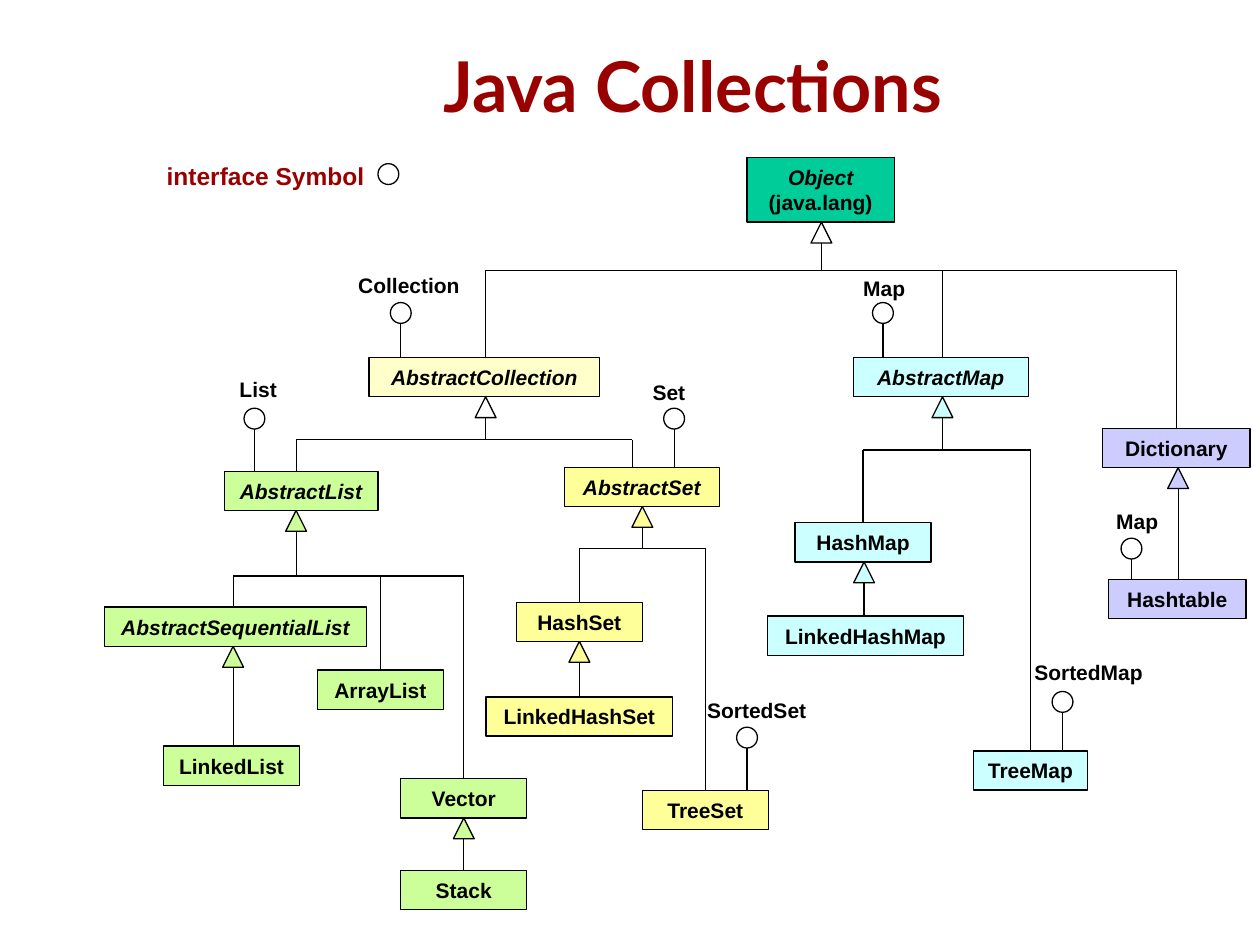
from collections import namedtuple

from lxml import etree
from pptx import Presentation, util as u
from pptx.dml.color import RGBColor
from pptx.enum import shapes, text
from pptx.oxml import ns

COLOURS = {
    "ink": "000000", "red": "990000", "white": "FFFFFF", "teal": "00CC99",
    "cream": "FFFFCC", "green": "CCFF99", "yellow": "FFFF99",
    "cyan": "CCFFFF", "violet": "CCCCFF",
}
BOX_HEIGHT = 0.79
MARK = 0.42  # size of the triangles and circles
LABEL_HEIGHT = 0.76

ClassBox = namedtuple("ClassBox", "left top width colour abstract")

CLASSES = {
    "AbstractCollection": ClassBox(7.44, 7.21, 4.65, "cream", True),
    "AbstractMap": ClassBox(17.2, 7.21, 3.53, "cyan", True),
    "Dictionary": ClassBox(22.23, 8.64, 2.97, "violet", False),
    "Hashtable": ClassBox(22.35, 11.68, 2.77, "violet", False),
    "AbstractList": ClassBox(4.52, 9.5, 3.1, "green", True),
    "AbstractSequentialList": ClassBox(2.11, 12.24, 5.28, "green", True),
    "ArrayList": ClassBox(6.4, 13.51, 2.54, "green", False),
    "LinkedList": ClassBox(3.3, 15.04, 2.74, "green", False),
    "Vector": ClassBox(8.08, 15.7, 2.54, "green", False),
    "Stack": ClassBox(8.08, 17.55, 2.54, "green", False),
    "AbstractSet": ClassBox(11.38, 9.42, 3.12, "yellow", True),
    "HashSet": ClassBox(10.41, 12.14, 2.54, "yellow", False),
    "LinkedHashSet": ClassBox(9.8, 14.05, 3.76, "yellow", False),
    "TreeSet": ClassBox(12.95, 15.93, 2.54, "yellow", False),
    "HashMap": ClassBox(16.03, 10.54, 2.74, "cyan", False),
    "LinkedHashMap": ClassBox(15.47, 12.42, 3.96, "cyan", False),
    "TreeMap": ClassBox(19.63, 15.14, 2.29, "cyan", False),
}

# parent, stem x, bar y, {child: branch x}
BRANCHES = [
    ("AbstractCollection", 9.79, 8.86,
     {"AbstractList": 5.97, "AbstractSet": 12.75}),
    ("AbstractList", 5.97, 11.61,
     {"AbstractSequentialList": 4.7, "ArrayList": 7.67, "Vector": 9.35}),
    ("AbstractSet", 12.95, 11.05, {"HashSet": 11.68, "TreeSet": 14.22}),
    ("AbstractMap", 19, 9.07, {"HashMap": 17.4, "TreeMap": 20.78}),
]

# parent, stem x, only child
CHAINS = [
    ("AbstractSequentialList", 4.7, "LinkedList"),
    ("Vector", 9.35, "Stack"),
    ("HashSet", 11.68, "LinkedHashSet"),
    ("HashMap", 17.42, "LinkedHashMap"),
    ("Dictionary", 23.75, "Hashtable"),
]

# interface, label left, top and width, circle centre x and top, class
INTERFACES = [
    ("Collection", 6.96, 5.36, 2.57, 8.08, 6.1, "AbstractCollection"),
    ("List", 4.57, 7.47, 1.27, 5.13, 8.23, "AbstractList"),
    ("Set", 12.9, 7.52, 1.17, 13.59, 8.23, "AbstractSet"),
    ("SortedSet", 14, 13.94, 2.51, 15.06, 14.66, "TreeSet"),
    ("Map", 17.15, 5.44, 1.35, 17.8, 6.1, "AbstractMap"),
    ("SortedMap", 20.6, 13.18, 2.69, 21.42, 13.94, "TreeMap"),
    ("Map", 22.25, 10.13, 1.35, 22.81, 10.85, "Hashtable"),
]


def rgb(name):
    return RGBColor.from_string(COLOURS[name])


class Diagram:
    font = "Arial"
    line_width = u.Pt(0.75)

    def __init__(self, page):
        self.page = page

    def set_text(self, frame, words, size=12, colour="ink", font=None,
                 align=text.PP_ALIGN.CENTER, spacing=None):
        frame.text = words
        for para in frame.paragraphs:
            para.alignment = align
            if spacing:
                para.line_spacing = spacing
            for span in para.runs:
                span.font.name = font or self.font
                span.font.size = u.Pt(size)
                span.font.bold = True
                span.font.color.rgb = rgb(colour)

    def label(self, words, left, top, width, height, wrap=False, **style):
        box = self.page.shapes.add_textbox(
            u.Cm(left), u.Cm(top), u.Cm(width), u.Cm(height))
        box.text_frame.word_wrap = wrap
        self.set_text(box.text_frame, words, **style)
        return box

    def shape(self, kind, left, top, width, height, colour=None):
        item = self.page.shapes.add_shape(
            kind, u.Cm(left), u.Cm(top), u.Cm(width), u.Cm(height))
        item.shadow.inherit = False
        item.line.color.rgb = rgb("ink")
        item.line.width = self.line_width
        if colour:
            item.fill.solid()
            item.fill.fore_color.rgb = rgb(colour)
        else:
            item.fill.background()
        return item

    def class_box(self, words, box, height=BOX_HEIGHT):
        """Draw a class; an abstract one has its first line in italics."""
        item = self.shape(shapes.MSO_SHAPE.RECTANGLE, box.left, box.top,
                          box.width, height, box.colour)
        self.set_text(item.text_frame, words)
        item.text_frame.paragraphs[0].runs[0].font.italic = box.abstract

    def line(self, x1, y1, x2, y2):
        link = self.page.shapes.add_connector(
            shapes.MSO_CONNECTOR.STRAIGHT,
            u.Cm(x1), u.Cm(y1), u.Cm(x2), u.Cm(y2))
        link.line.color.rgb = rgb("ink")
        link.line.width = self.line_width
        etree.SubElement(link._element.spPr, ns.qn("a:effectLst"))

    def stem(self, x, top, bottom, colour):
        """Draw the inheritance triangle and the line below it."""
        self.shape(shapes.MSO_SHAPE.ISOSCELES_TRIANGLE, x - MARK / 2, top,
                   MARK, MARK, colour)
        self.line(x, top + MARK, x, bottom)

    def branch(self, x, top, bar, children, colour):
        self.stem(x, top, bar, colour)
        self.line(min(children.values()), bar, max(children.values()), bar)
        for child, child_x in children.items():
            self.line(child_x, bar, child_x, CLASSES[child].top)

    def circle(self, x, top):
        self.shape(shapes.MSO_SHAPE.OVAL, x - MARK / 2, top, MARK, MARK)

    def interface(self, name, left, top, width, x, circle_top, owner):
        self.label(name, left, top, width, LABEL_HEIGHT)
        self.circle(x, circle_top)
        self.line(x, circle_top + MARK, x, CLASSES[owner].top)


def main():
    deck = Presentation()
    deck.slide_width, deck.slide_height = u.Cm(25.4), u.Cm(19.05)
    diagram = Diagram(deck.slides.add_slide(deck.slide_layouts[6]))

    title = diagram.label("Java Collections", 6.55, 0.43, 14.83, 2.87,
                          wrap=True, size=40, colour="red", font="Lato",
                          spacing=0.81)
    frame = title.text_frame
    frame.vertical_anchor = text.MSO_ANCHOR.MIDDLE
    frame.margin_left = frame.margin_right = 0
    frame.margin_top = frame.margin_bottom = 0

    diagram.label("interface Symbol", 3.11, 3.18, 4.6, 0.81, wrap=True,
                  size=14, colour="red", align=text.PP_ALIGN.LEFT,
                  spacing=0.93)
    diagram.circle(7.83, 3.3)

    root = ClassBox(15.06, 3.18, 2.97, "teal", True)
    diagram.class_box("Object\n(java.lang)", root, height=1.3)
    diagram.branch(16.56, 4.48, 5.46, {
        "AbstractCollection": 9.78, "AbstractMap": 19, "Dictionary": 23.72,
    }, "white")

    for parent, x, bar, children in BRANCHES:
        box = CLASSES[parent]
        colour = None if box.colour == "cream" else box.colour
        diagram.branch(x, box.top + BOX_HEIGHT, bar, children, colour)
    for parent, x, child in CHAINS:
        box = CLASSES[parent]
        diagram.stem(x, box.top + BOX_HEIGHT, CLASSES[child].top, box.colour)
    for row in INTERFACES:
        diagram.interface(*row)
    for name, box in CLASSES.items():
        diagram.class_box(name, box)

    deck.save("out.pptx")


if __name__ == "__main__":
    main()
